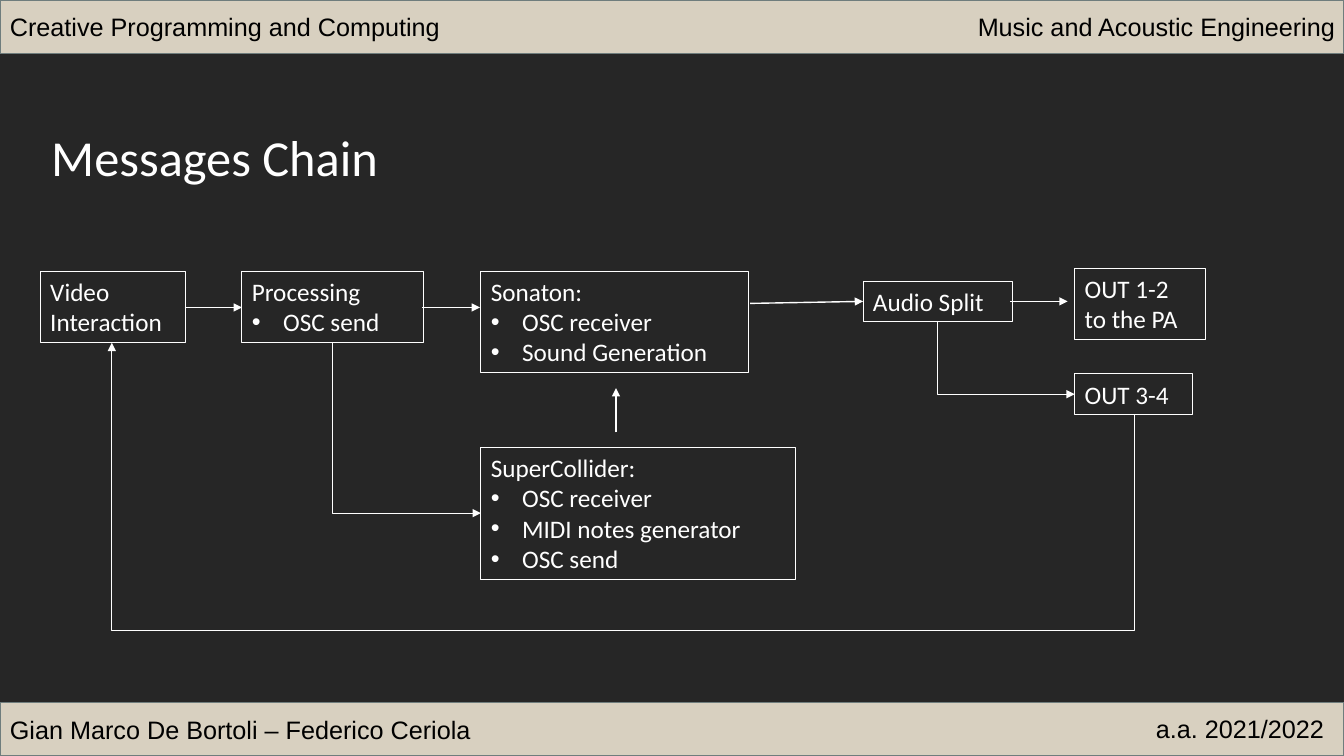
from pptx import Presentation
from pptx.dml.color import RGBColor
from pptx.enum.shapes import MSO_CONNECTOR, MSO_SHAPE
from pptx.enum.text import MSO_ANCHOR, MSO_AUTO_SIZE, PP_ALIGN
from pptx.oxml.ns import qn
from pptx.oxml.xmlchemy import OxmlElement
from pptx.util import Pt

EMU_PER_PX = 9144
SLIDE_WIDTH, SLIDE_HEIGHT = 1333, 750
BAR_HEIGHT = 53
INDENT = 31

DARK = RGBColor(0x26, 0x26, 0x26)
SAND = RGBColor(0xD8, 0xD0, 0xC0)
SLATE = RGBColor(0x6F, 0x7D, 0x7D)
BLACK = RGBColor(0x00, 0x00, 0x00)
WHITE = RGBColor(0xFF, 0xFF, 0xFF)

RECTANGLE = MSO_SHAPE.RECTANGLE
STRAIGHT, ELBOW = MSO_CONNECTOR.STRAIGHT, MSO_CONNECTOR.ELBOW
LEFT, RIGHT = PP_ALIGN.LEFT, PP_ALIGN.RIGHT
MIDDLE = MSO_ANCHOR.MIDDLE
FIT_SHAPE = MSO_AUTO_SIZE.SHAPE_TO_FIT_TEXT

BARS = [
    (SLIDE_HEIGHT - BAR_HEIGHT, "Gian Marco De Bortoli – Federico Ceriola"),
    (0, "Creative Programming and Computing"),
]
BAR_NOTES = [
    ((1132, 703, 191, 40), "a.a. 2021/2022"),
    ((947, 6, 387, 40), "Music and Acoustic Engineering"),
]
STAGES = [
    ((40, 269, 144, 71), ["Video Interaction"], [], True),
    ((240, 269, 180, 71), ["Processing"], ["OSC send"], True),
    ((477, 269, 265, 101), ["Sonaton:"], ["OSC receiver", "Sound Generation"], True),
    ((477, 444, 312, 131), ["SuperCollider:"],
     ["OSC receiver", "MIDI notes generator", "OSC send"], True),
    ((856, 279, 148, 40), ["Audio Split"], [], False),
    ((1066, 266, 130, 71), ["OUT 1-2", "to the PA"], [], False),
    ((1066, 371, 117, 40), ["OUT 3-4"], [], False),
]
ARROWS = [
    ((183, 305), (240, 305)),
    ((419, 305), (476, 305)),
    ((744, 301), (856, 299)),
    ((1002, 299), (1059, 299)),
    ((611, 429), (611, 385)),
]
ELBOWS = [
    ((330, 340), (477, 509), "bentConnector2", 270, None),
    ((930, 319), (1066, 391), "bentConnector2", 270, None),
    ((1125, 411), (111, 340), "bentConnector3", 90, -302700),
]


def px(length):
    return length * EMU_PER_PX


class SlideBuilder:
    def __init__(self, presentation):
        self.slide = presentation.slides.add_slide(presentation.slide_layouts[6])
        self.shapes = self.slide.shapes
        background = self.slide.background.fill
        background.solid()
        background.fore_color.rgb = DARK

    def format_text(self, paragraph, font_name, size, color, alignment=LEFT):
        paragraph.alignment = alignment
        for run in paragraph.runs:
            run.font.name = font_name
            run.font.size = Pt(size)
            run.font.color.rgb = color

    def add_bullet(self, paragraph):
        properties = paragraph._p.get_or_add_pPr()
        properties.set("marL", str(px(INDENT)))
        properties.set("indent", str(-px(INDENT)))
        for tag, name, value in (("a:buFont", "typeface", "Arial"), ("a:buChar", "char", "•")):
            element = OxmlElement(tag)
            element.set(name, value)
            properties.append(element)

    def bar(self, top, text):
        shape = self.shapes.add_shape(RECTANGLE, 0, px(top), px(SLIDE_WIDTH), px(BAR_HEIGHT))
        shape.shadow.inherit = False
        shape.fill.solid()
        shape.fill.fore_color.rgb = SAND
        shape.line.color.rgb = SLATE
        shape.line.width = Pt(1)
        shape.text_frame.text = text
        shape.text_frame.vertical_anchor = MIDDLE
        self.format_text(shape.text_frame.paragraphs[0], "Arial", 18, BLACK)

    def text(self, box, lines, font_name="Calibri", size=18, color=WHITE,
             alignment=LEFT, wrap=True):
        shape = self.shapes.add_textbox(*map(px, box))
        frame = shape.text_frame
        frame.text = "\n".join(lines)
        frame.word_wrap = wrap
        frame.auto_size = FIT_SHAPE
        for paragraph in frame.paragraphs:
            self.format_text(paragraph, font_name, size, color, alignment)
        return shape

    def stage(self, box, lines, bullets, wrap):
        shape = self.text(box, lines + bullets, wrap=wrap)
        shape.line.color.rgb = WHITE
        shape.line.width = Pt(0.75)
        for paragraph in shape.text_frame.paragraphs[len(lines):]:
            self.add_bullet(paragraph)

    def connector(self, kind, begin, end, width):
        connector = self.shapes.add_connector(kind, *begin, *end)
        connector.line.color.rgb = WHITE
        connector.line.width = Pt(width)
        head = OxmlElement("a:tailEnd")
        head.set("type", "triangle")
        connector.line._get_or_add_ln().append(head)
        connector._element.spPr.append(OxmlElement("a:effectLst"))
        return connector

    def arrow(self, begin, end):
        self.connector(STRAIGHT, map(px, begin), map(px, end), 1)

    def elbow(self, begin, end, preset, rotation, adjustment):
        (x1, y1), (x2, y2) = map(px, begin), map(px, end)
        width, height = abs(y2 - y1), abs(x2 - x1)
        left, top = (x1 + x2 - width) // 2, (y1 + y2 - height) // 2
        connector = self.connector(ELBOW, (left + width, top), (left, top + height), 0.5)
        properties = connector._element.spPr
        properties.find(qn("a:xfrm")).set("rot", str(rotation * 60000))
        geometry = properties.find(qn("a:prstGeom"))
        geometry.set("prst", preset)
        if adjustment is not None:
            guide = OxmlElement("a:gd")
            guide.set("name", "adj1")
            guide.set("fmla", f"val {adjustment}")
            geometry.find(qn("a:avLst")).append(guide)


def main():
    presentation = Presentation()
    presentation.slide_width = px(SLIDE_WIDTH)
    presentation.slide_height = px(SLIDE_HEIGHT)
    builder = SlideBuilder(presentation)
    for bar in BARS:
        builder.bar(*bar)
    for box, text in BAR_NOTES:
        builder.text(box, [text], "Arial", 18, BLACK, RIGHT, False)
    builder.text((41, 120, 425, 71), ["Messages Chain"], size=36)
    for stage in STAGES:
        builder.stage(*stage)
    for arrow in ARROWS:
        builder.arrow(*arrow)
    for elbow in ELBOWS:
        builder.elbow(*elbow)
    presentation.save("out.pptx")


if __name__ == "__main__":
    main()
